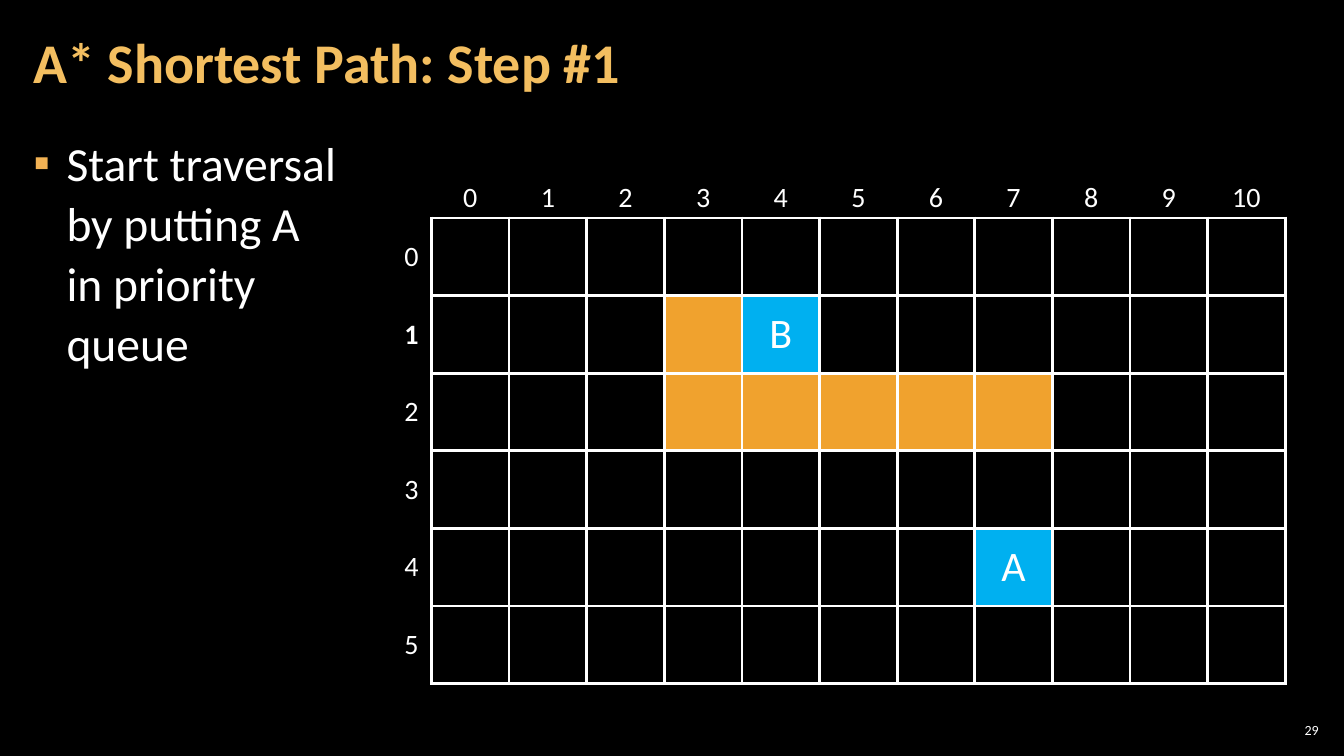
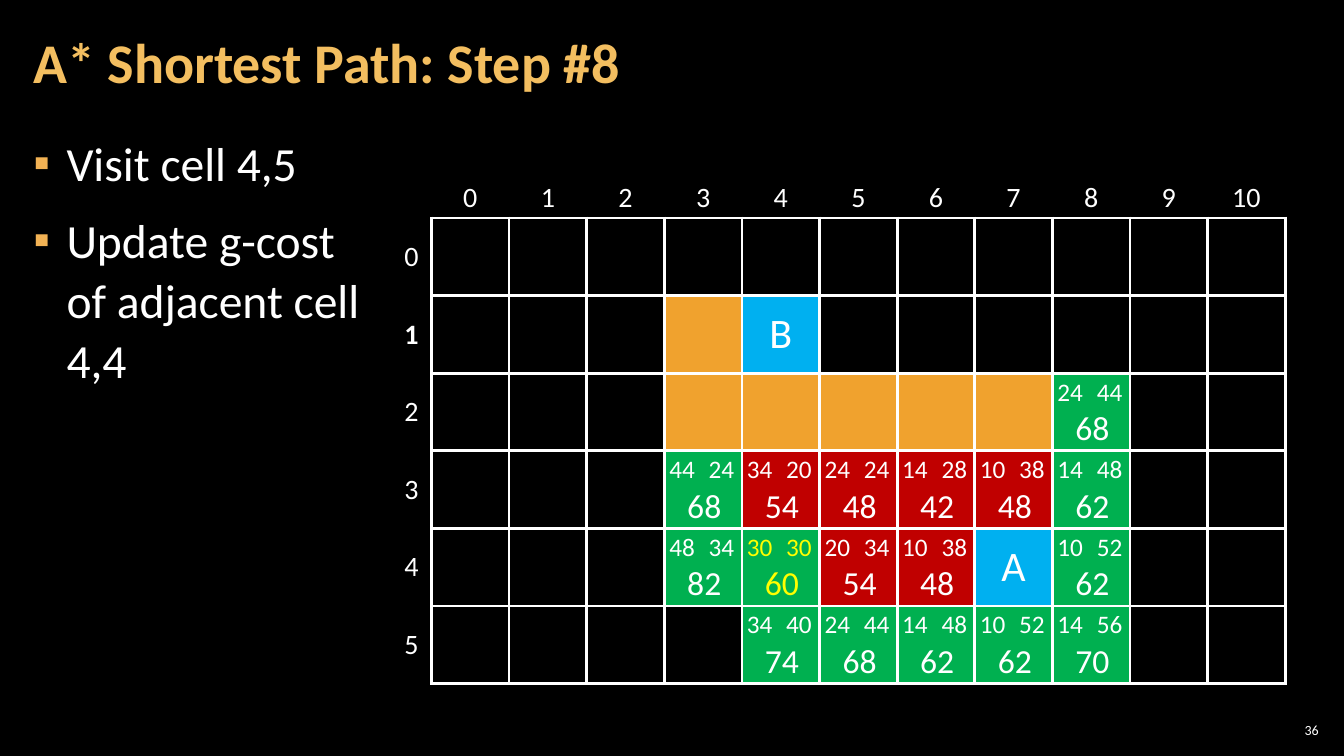
from lxml import etree
from pptx import Presentation
from pptx.dml.color import RGBColor
from pptx.enum.text import MSO_ANCHOR, PP_ALIGN
from pptx.oxml.ns import qn
from pptx.util import Inches, Pt

BLACK = RGBColor(0x00, 0x00, 0x00)
WHITE = RGBColor(0xFF, 0xFF, 0xFF)
YELLOW = RGBColor(0xFF, 0xFF, 0x00)
TITLE_GOLD = RGBColor(0xF3, 0xBE, 0x60)
BULLET_GOLD = RGBColor(0xF2, 0xB2, 0x54)
WALL_ORANGE = RGBColor(0xF0, 0xA2, 0x2E)
ENDPOINT_BLUE = RGBColor(0x00, 0xB0, 0xF0)
OPEN_GREEN = RGBColor(0x00, 0xB0, 0x50)
VISITED_RED = RGBColor(0xC0, 0x00, 0x00)

LEFT, CENTER, RIGHT = PP_ALIGN.LEFT, PP_ALIGN.CENTER, PP_ALIGN.RIGHT
TOP, MIDDLE = MSO_ANCHOR.TOP, MSO_ANCHOR.MIDDLE
FONT = "Calibri"
PLAIN_TABLE_STYLE = "{2D5ABB26-0587-4C30-8999-92F81FD0307C}"

# Grid of the map, in inches
ROWS, COLUMNS = 6, 11
CELL, LABEL = 0.77, 0.4
TABLE_LEFT, TABLE_TOP = 3.88, 1.75
GRID_LEFT, GRID_TOP = 4.28, 2.16

# Cells are keyed by (row, column)
WALLS = [(1, 3)] + [(2, column) for column in range(3, 8)]
ENDPOINTS = {(1, 4): "B", (4, 7): "A"}
VISITED = {(3, 4), (3, 5), (3, 6), (3, 7), (4, 5), (4, 6)}
UPDATED = (4, 4)
# Cost from the start and estimated cost to the goal
COSTS = {
    (2, 8): (24, 44),
    (3, 3): (44, 24), (3, 4): (34, 20), (3, 5): (24, 24),
    (3, 6): (14, 28), (3, 7): (10, 38), (3, 8): (14, 48),
    (4, 3): (48, 34), (4, 4): (30, 30), (4, 5): (20, 34),
    (4, 6): (10, 38), (4, 8): (10, 52),
    (5, 4): (34, 40), (5, 5): (24, 44), (5, 6): (14, 48),
    (5, 7): (10, 52), (5, 8): (14, 56),
}


class PathDeck:
    """Holds the shared style and the slide being filled."""

    def __init__(self):
        self.deck = Presentation()
        self.deck.slide_width = Inches(13.33)
        self.deck.slide_height = Inches(7.5)
        self.slide = None

    def add_slide(self, title, bullets, number):
        self.slide = self.deck.slides.add_slide(self.deck.slide_layouts[6])
        fill = self.slide.background.fill
        fill.solid()
        fill.fore_color.rgb = BLACK
        shapes = self.slide.shapes
        self.text(shapes, (12.65, 7.14, 0.47, 0.21), [str(number)], 10,
                  align=RIGHT, anchor=MIDDLE, insets=(0.04, 0.04))
        self.bullets(bullets)
        heading = self.text(shapes, (0.21, 0.04, 10.47, 1.21), [title], 40,
                            TITLE_GOLD, anchor=MIDDLE, insets=(0.12, 0.04), bold=True)
        heading.text_frame.paragraphs[0].line_spacing = 0.9

    def style(self, para, size, color=WHITE, align=LEFT, bold=False):
        para.alignment = align
        for span in para.runs:
            span.font.name = FONT
            span.font.size = Pt(size)
            span.font.bold = bold
            span.font.color.rgb = color

    def text(self, shapes, place, lines, size, color=WHITE, align=LEFT,
             anchor=TOP, insets=(0.1, 0.05), bold=False):
        """Adds a text box with one paragraph for each of the lines."""
        box = shapes.add_textbox(*[Inches(value) for value in place])
        frame = box.text_frame
        frame.word_wrap = True
        frame.vertical_anchor = anchor
        frame.margin_left = frame.margin_right = Inches(insets[0])
        frame.margin_top = frame.margin_bottom = Inches(insets[1])
        for index, line in enumerate(lines):
            para = frame.add_paragraph() if index else frame.paragraphs[0]
            para.text = line
            self.style(para, size, color, align, bold)
        return box

    def bullets(self, lines):
        box = self.text(self.slide.shapes, (0.21, 1.26, 12.91, 6.09), lines, 34,
                        insets=(0.12, 0.04))
        for index, para in enumerate(box.text_frame.paragraphs):
            para.line_spacing = 1.05
            para.space_before = Pt(6 if index else 0)
            para.space_after = Pt(6)
            properties = para._p.get_or_add_pPr()
            properties.set("marL", str(Inches(0.33)))
            properties.set("indent", str(-Inches(0.33)))
            color = etree.SubElement(properties, qn("a:buClr"))
            etree.SubElement(color, qn("a:srgbClr"), val=str(BULLET_GOLD))
            etree.SubElement(properties, qn("a:buFont"), typeface="Arial")
            etree.SubElement(properties, qn("a:buChar"), char="▪")

    def cell(self, cell, text="", size=20, bold=False, fill=None, sides="LRTB"):
        """Fills one table cell and draws its borders on the given sides."""
        cell.margin_left = cell.margin_right = Inches(0.08)
        cell.margin_top = cell.margin_bottom = Inches(0.04)
        cell.vertical_anchor = MIDDLE
        if text:
            cell.text_frame.text = text
            self.style(cell.text_frame.paragraphs[0], size, align=CENTER, bold=bold)
        if fill is None:
            cell.fill.background()
        else:
            cell.fill.solid()
            cell.fill.fore_color.rgb = fill
        properties = cell._tc.get_or_add_tcPr()
        for index, side in enumerate(sides):
            line = etree.Element(qn("a:ln" + side), w=str(Pt(2.25)))
            color = etree.SubElement(line, qn("a:solidFill"))
            etree.SubElement(color, qn("a:srgbClr"), val=str(WHITE))
            properties.insert(index, line)

    def map(self, fills):
        """Draws the labelled grid; fills gives the colour of each marked cell."""
        frame = self.slide.shapes.add_table(
            ROWS + 1, COLUMNS + 1, Inches(TABLE_LEFT), Inches(TABLE_TOP),
            Inches(LABEL + COLUMNS * CELL), Inches(LABEL + ROWS * CELL))
        table = frame.table
        table.first_row = table.horz_banding = False
        table._tbl.tblPr.find(qn("a:tableStyleId")).text = PLAIN_TABLE_STYLE
        for index, column in enumerate(table.columns):
            column.width = Inches(CELL if index else LABEL)
        for index, row in enumerate(table.rows):
            row.height = Inches(CELL if index else LABEL)

        self.cell(table.cell(0, 0), sides="")
        for column in range(COLUMNS):
            self.cell(table.cell(0, column + 1), str(column), sides="B")
        for row in range(ROWS):
            self.cell(table.cell(row + 1, 0), str(row), bold=row == 1, sides="R")
            for column in range(COLUMNS):
                key = (row, column)
                self.cell(table.cell(row + 1, column + 1), ENDPOINTS.get(key, ""),
                          size=30, fill=fills.get(key))

    def costs(self, row, column, start_cost, goal_cost, color):
        """Writes both costs and their sum over one cell of the map."""
        shapes = self.slide.shapes.add_group_shape().shapes
        left = GRID_LEFT + column * CELL - 0.05
        top = GRID_TOP + row * CELL - 0.02
        self.text(shapes, (left + 0.07, top + 0.31, 0.75, 0.5),
                  [str(start_cost + goal_cost)], 24, color, CENTER)
        for offset, cost in ((0, start_cost), (0.39, goal_cost)):
            self.text(shapes, (left + offset, top, 0.5, 0.4), [str(cost)], 18, color)


def main():
    path = PathDeck()
    fills = dict.fromkeys(WALLS, WALL_ORANGE)
    fills.update(dict.fromkeys(ENDPOINTS, ENDPOINT_BLUE))

    path.add_slide("A* Shortest Path: Step #1",
                   ["Start traversal\vby putting A\vin priority\vqueue"], 29)
    path.map(fills)

    path.add_slide("A* Shortest Path: Step #8",
                   ["Visit cell 4,5", "Update g-cost\vof adjacent cell\v4,4"], 36)
    for key in COSTS:
        fills[key] = VISITED_RED if key in VISITED else OPEN_GREEN
    path.map(fills)
    for key, pair in COSTS.items():
        path.costs(*key, *pair, YELLOW if key == UPDATED else WHITE)

    path.deck.save("out.pptx")


if __name__ == "__main__":
    main()
